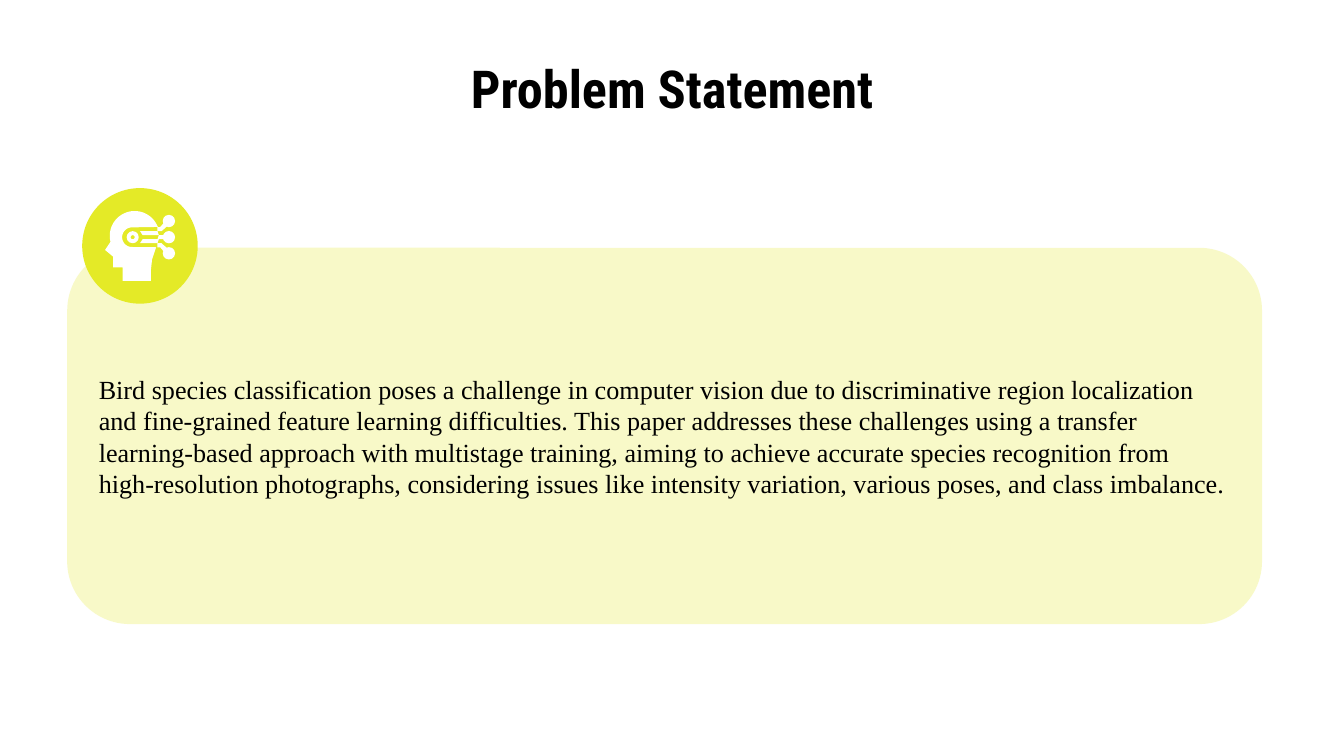
from math import cos, radians, sin

from lxml import etree
from pptx import Presentation
from pptx.dml.color import RGBColor
from pptx.enum.shapes import MSO_SHAPE
from pptx.enum.text import MSO_ANCHOR, MSO_AUTO_SIZE, PP_ALIGN
from pptx.oxml.ns import qn
from pptx.util import Inches, Pt

ROUNDED, OVAL, DONUT = MSO_SHAPE.ROUNDED_RECTANGLE, MSO_SHAPE.OVAL, MSO_SHAPE.DONUT
MIDDLE, LEFT, CENTER = MSO_ANCHOR.MIDDLE, PP_ALIGN.LEFT, PP_ALIGN.CENTER
NO_FIT = MSO_AUTO_SIZE.NONE
W = Inches(10)
H = W * 9 // 16
U = W // 100
LIME, WHITE, BLACK = "E4EA27", "FFFFFF", "000000"
TITLE = "Problem Statement"
STATEMENT = (
    "Bird species classification poses a challenge in computer vision due to "
    "discriminative region localization and fine-grained feature learning difficulties. "
    "This paper addresses these challenges using a transfer learning-based approach with "
    "multistage training, aiming to achieve accurate species recognition from "
    "high-resolution photographs, considering issues like intensity variation, "
    "various poses, and class imbalance."
)


def grid(*cells):
    """Turn grid columns and rows, 100 columns to the slide width, into lengths."""
    return [round(c * U) for c in cells]


def paint(shape, color, alpha=None):
    """Give a shape a flat fill without line or shadow."""
    shape.shadow.inherit = False
    shape.line.fill.background()
    shape.fill.solid()
    shape.fill.fore_color.rgb = RGBColor.from_string(color)
    if alpha is not None:
        clr = shape._element.spPr.find(qn("a:solidFill"))[0]
        etree.SubElement(clr, qn("a:alpha")).set("val", str(alpha * 1000))
    return shape


def write(shape, text, font, size, align, bold=False):
    """Set one vertically centred paragraph with even insets."""
    tf = shape.text_frame
    tf.word_wrap, tf.auto_size, tf.vertical_anchor = True, NO_FIT, MIDDLE
    tf.margin_left = tf.margin_right = tf.margin_top = tf.margin_bottom = U
    p = tf.paragraphs[0]
    p.text, p.alignment = text, align
    p.font.name, p.font.size, p.font.bold = font, Pt(size), bold
    p.font.color.rgb = RGBColor.from_string(BLACK)


def add_title(s, box):
    """Place the slide title."""
    title = s.shapes.title
    title.left, title.top, title.width, title.height = box
    write(title, TITLE, "Roboto Condensed", 28, CENTER, True)


def add_panel(s, box):
    """Place the pale rounded panel with the statement."""
    panel = paint(s.shapes.add_shape(ROUNDED, *box), LIME, 25)
    panel.adjustments[0] = 0.167
    write(panel, STATEMENT, "Times New Roman", 14, LEFT)


def arc(cx, cy, r, start, end, steps=30):
    """List points along a circular arc, angles in degrees."""
    angles = [radians(start + (end - start) * i / steps) for i in range(steps + 1)]
    return [(cx + r * cos(a), cy + r * sin(a)) for a in angles]


def add_badge(s, box):
    """Place the round badge with a head, an eye and three linked nodes."""
    left, top, size, _ = box
    unit = size / 86
    axis = 36.5

    def disc(kind, cx, cy, r):
        """Add a round part centred in the badge's grid of 86 units."""
        return paint(s.shapes.add_shape(
            kind, round(left + (cx - r) * unit), round(top + (cy - r) * unit),
            round(2 * r * unit), round(2 * r * unit)), WHITE)

    def outline(points):
        """Add a closed white outline given in badge units."""
        pts = [(round(x * unit), round(y * unit)) for x, y in points]
        fb = s.shapes.build_freeform(*pts[0], scale=1.0)
        fb.add_line_segments(pts[1:], close=True)
        paint(fb.convert_to_shape(left, top), WHITE)

    paint(s.shapes.add_shape(OVAL, *box), LIME)
    face = [(17, 46), (23, 51), (23, 59), (30, 59), (30, 69), (51, 69),
            (51, 62), (52, 53), (55, 44)]
    outline(arc(39, 35.5, 18.5, -21, -194) + face + arc(37, axis, 7.3, 90, 270))
    disc(DONUT, 37.5, axis, 4.5).adjustments[0] = 0.33
    bar = [(43, -4.5), (56, -4.5), (57, -1.5), (45, -1.5)]
    link = [(56, -7.5), (58, -7.5), (61, -11), (63, -8), (59, -4.5), (56, -4.5)]
    for side in (1, -1):
        for part in (bar, link):
            outline([(x, axis + side * y) for x, y in part])
    outline([(57, axis - 1.5), (61, axis - 1.5), (61, axis + 1.5), (56, axis + 1.5)])
    for row in (-1, 0, 1):
        disc(OVAL, 64.5, axis + 12 * row, 4.6)


def main():
    """Build the slide and save it."""
    prs = Presentation()
    prs.slide_width, prs.slide_height = W, H
    s = prs.slides.add_slide(prs.slide_layouts[5])
    add_title(s, grid(5, 4.5, 90, 4.1))
    add_panel(s, grid(5, 18.44, 88.9, 28))
    add_badge(s, grid(6.12, 14, 8.6, 8.6))
    prs.save("out.pptx")


if __name__ == "__main__":
    main()
